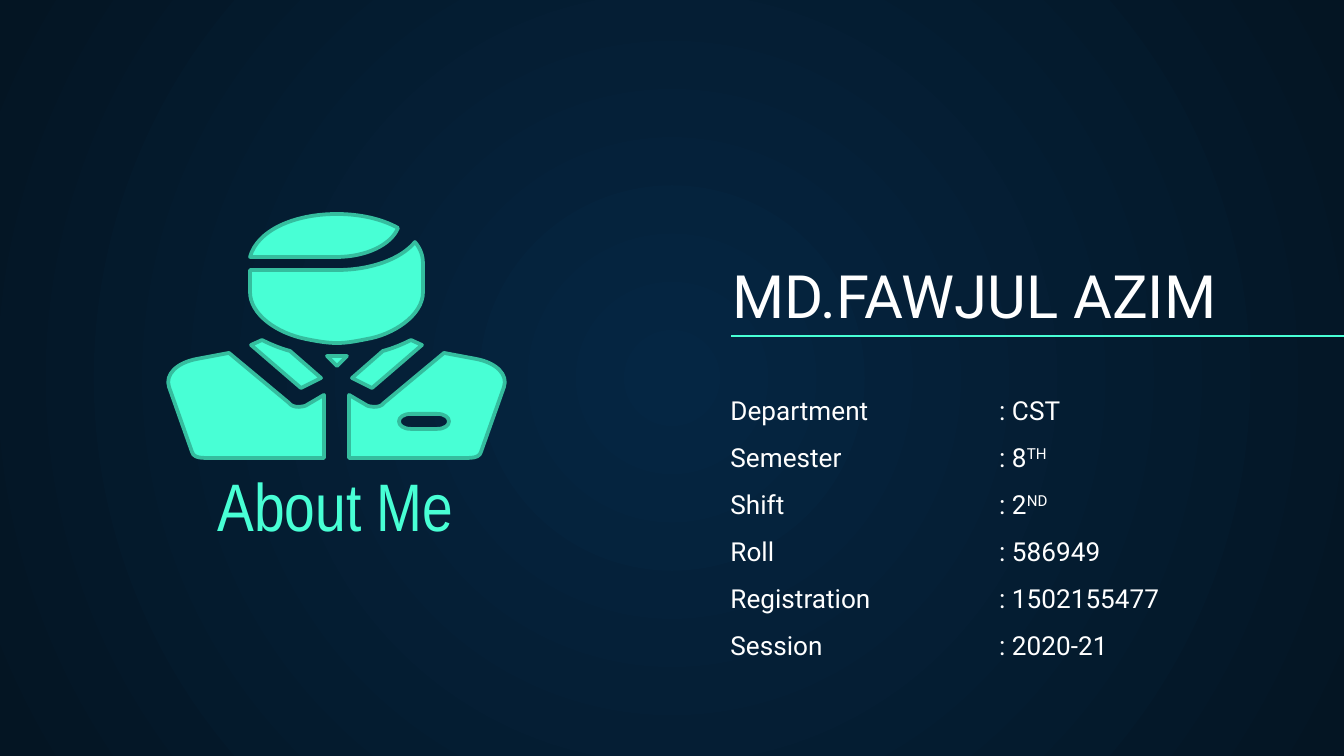
import itertools

import lxml.etree
import pptx
import pptx.dml.color
import pptx.enum.shapes
import pptx.enum.text
import pptx.oxml.ns
import pptx.util

PX = 914400 / 134.4  # EMU in one px
MIRROR_SUM = 673  # x of a point plus x of its mirror image

# Outlines in px: pairs are points, sixes are cubic curves
CAP = [(337, 214), (293, 214, 257, 231, 250, 257), (336, 257),
       (366, 257, 391, 245, 398, 228), (382, 219, 360, 214, 337, 214)]
FACE = [(415, 242), (401, 259, 371, 270, 337, 270), (250, 270), (250, 292),
        (250, 314, 276, 333, 306, 339), (316, 341, 327, 343, 337, 343),
        (347, 343, 357, 341, 367, 339), (392, 335, 423, 316, 423, 292),
        (423, 263), (423, 257, 421, 249, 415, 242)]
KNOT = [(327, 356), (337, 366), (347, 356)]
LAPEL = [(411, 340), (403, 344, 394, 348, 383, 351), (352, 378), (372, 388), (422, 345)]
SHOULDER = [(444, 353), (384, 403), (382, 406, 378, 407, 374, 407),
            (371, 407, 367, 406, 366, 405), (349, 395), (349, 458), (469, 458),
            (476, 458, 480, 456, 481, 452), (504, 387), (508, 375, 497, 363, 476, 359)]
POCKET = [(437, 414), (453, 414, 453, 429, 437, 429), (411, 429),
          (395, 429, 395, 414, 411, 414)]

# Short names need a second tab to reach the value column
DETAILS = [("Department\t: CST", ""), ("Semester\t\t: 8", "TH"), ("Shift\t\t: 2", "ND"),
           ("Roll\t\t: 586949", ""), ("Registration\t: 1502155477", ""),
           ("Session\t\t: 2020-21", "")]


def px(length):
    return pptx.util.Emu(round(length * PX))


def color(value):
    return pptx.dml.color.RGBColor.from_string(value)


def mirror(outline):
    return [tuple(MIRROR_SUM - n if i % 2 == 0 else n for i, n in enumerate(step))
            for step in outline]


class Slide:
    accent, accent_dark, white = "48FFD5", "35BD9E", "FFFFFF"
    body_font, label_font = "Roboto", "Arial Narrow"

    def __init__(self, deck):
        self.page = deck.slides.add_slide(deck.slide_layouts[0])

    def background(self, inner, outer):
        fill = self.page.background.fill
        fill.gradient()
        for stop, position, value in zip(fill.gradient_stops, (0, 1), (inner, outer)):
            stop.position = position
            stop.color.rgb = color(value)
        # Make the gradient run out from the centre
        qn = pptx.oxml.ns.qn
        linear = next(self.page.element.iter(qn("a:lin")))
        circle = lxml.etree.Element(qn("a:path"), path="circle")
        lxml.etree.SubElement(circle, qn("a:fillToRect"),
                              dict.fromkeys("ltrb", "50000"))
        linear.getparent().replace(linear, circle)

    def frame(self, box, place, anchor):
        box.left, box.top, box.width, box.height = map(px, place)
        frame = box.text_frame
        frame.word_wrap = True
        frame.auto_size = pptx.enum.text.MSO_AUTO_SIZE.NONE
        frame.vertical_anchor = anchor
        frame.margin_left = frame.margin_right = pptx.util.Inches(0.1)
        frame.margin_top = frame.margin_bottom = pptx.util.Inches(0.1)
        return frame

    def style(self, para, size, font, value, align):
        para.alignment = align
        para.space_before = pptx.util.Pt(0)
        para.font.size = pptx.util.Pt(size)
        para.font.name = font
        para.font.color.rgb = color(value)

    def title(self, text, place):
        frame = self.frame(self.page.shapes.title, place, pptx.enum.text.MSO_ANCHOR.BOTTOM)
        frame.text = text
        self.style(frame.paragraphs[0], 32, self.body_font, self.white,
                   pptx.enum.text.PP_ALIGN.LEFT)

    def label(self, text, place):
        box = self.page.shapes.add_textbox(0, 0, 0, 0)
        frame = self.frame(box, place, pptx.enum.text.MSO_ANCHOR.BOTTOM)
        frame.text = text
        self.style(frame.paragraphs[0], 36, self.label_font, self.accent,
                   pptx.enum.text.PP_ALIGN.CENTER)

    def details(self, rows, place):
        frame = self.frame(self.page.placeholders[1], place, pptx.enum.text.MSO_ANCHOR.TOP)
        for i, (text, ordinal) in enumerate(rows):
            para = frame.add_paragraph() if i else frame.paragraphs[0]
            para.add_run().text = text
            if ordinal:
                span = para.add_run()
                span.text = ordinal
                span.font._element.set("baseline", "30000")
            para.line_spacing = 1.5
            para._p.get_or_add_pPr().set("defTabSz", str(int(pptx.util.Inches(1))))
            self.style(para, 14, self.body_font, self.white, pptx.enum.text.PP_ALIGN.LEFT)

    def rule(self, x1, x2, y):
        line = self.page.shapes.add_connector(
            pptx.enum.shapes.MSO_CONNECTOR.STRAIGHT, px(x1), px(y), px(x2), px(y))
        line.line.color.rgb = color(self.accent)
        line.line.width = pptx.util.Pt(0.75)
        lxml.etree.SubElement(line._element.spPr, pptx.oxml.ns.qn("a:effectLst"))

    def bend(self, shape, outlines):
        """Turn the straight segments that stand for curves into curves."""
        qn = pptx.oxml.ns.qn
        points = [step[-2:] for step in itertools.chain(*outlines)]
        left, top = (min(values) for values in zip(*points))
        steps = [step for outline in outlines for step in outline[1:]]
        for segment, step in zip(list(shape._element.iter(qn("a:lnTo"))), steps):
            if len(step) == 2:
                continue
            curve = lxml.etree.Element(qn("a:cubicBezTo"))
            for x, y in zip(step[::2], step[1::2]):
                lxml.etree.SubElement(curve, qn("a:pt"), x=str(x - left), y=str(y - top))
            segment.getparent().replace(segment, curve)

    def figure(self, parts):
        """Draw a group of outlines; each part is an outline and its holes."""
        group = self.page.shapes.add_group_shape()
        for part in parts:
            first, *holes = [[step[-2:] for step in outline] for outline in part]
            builder = group.shapes.build_freeform(*first[0], scale=PX)
            builder.add_line_segments(first[1:], close=True)
            for hole in holes:
                builder.move_to(*hole[0])
                builder.add_line_segments(hole[1:], close=True)
            shape = builder.convert_to_shape()
            self.bend(shape, part)
            shape.shadow.inherit = False
            shape.fill.solid()
            shape.fill.fore_color.rgb = color(self.accent)
            shape.line.color.rgb = color(self.accent_dark)
            shape.line.width = pptx.util.Pt(2)


def main():
    deck = pptx.Presentation()
    deck.slide_width, deck.slide_height = px(1344), px(756)
    slide = Slide(deck)
    slide.background("052643", "041523")

    # Name and details
    slide.title("MD.FAWJUL AZIM", (719, 255, 579, 89))
    slide.details(DETAILS, (717, 365, 508, 208))
    slide.rule(731, 1384, 336)

    # Person icon with its label
    slide.label("About Me", (154, 469, 363, 89))
    slide.figure([[LAPEL], [FACE], [CAP], [mirror(SHOULDER)], [SHOULDER, POCKET],
                  [mirror(LAPEL)], [KNOT]])
    deck.save("out.pptx")


if __name__ == "__main__":
    main()
